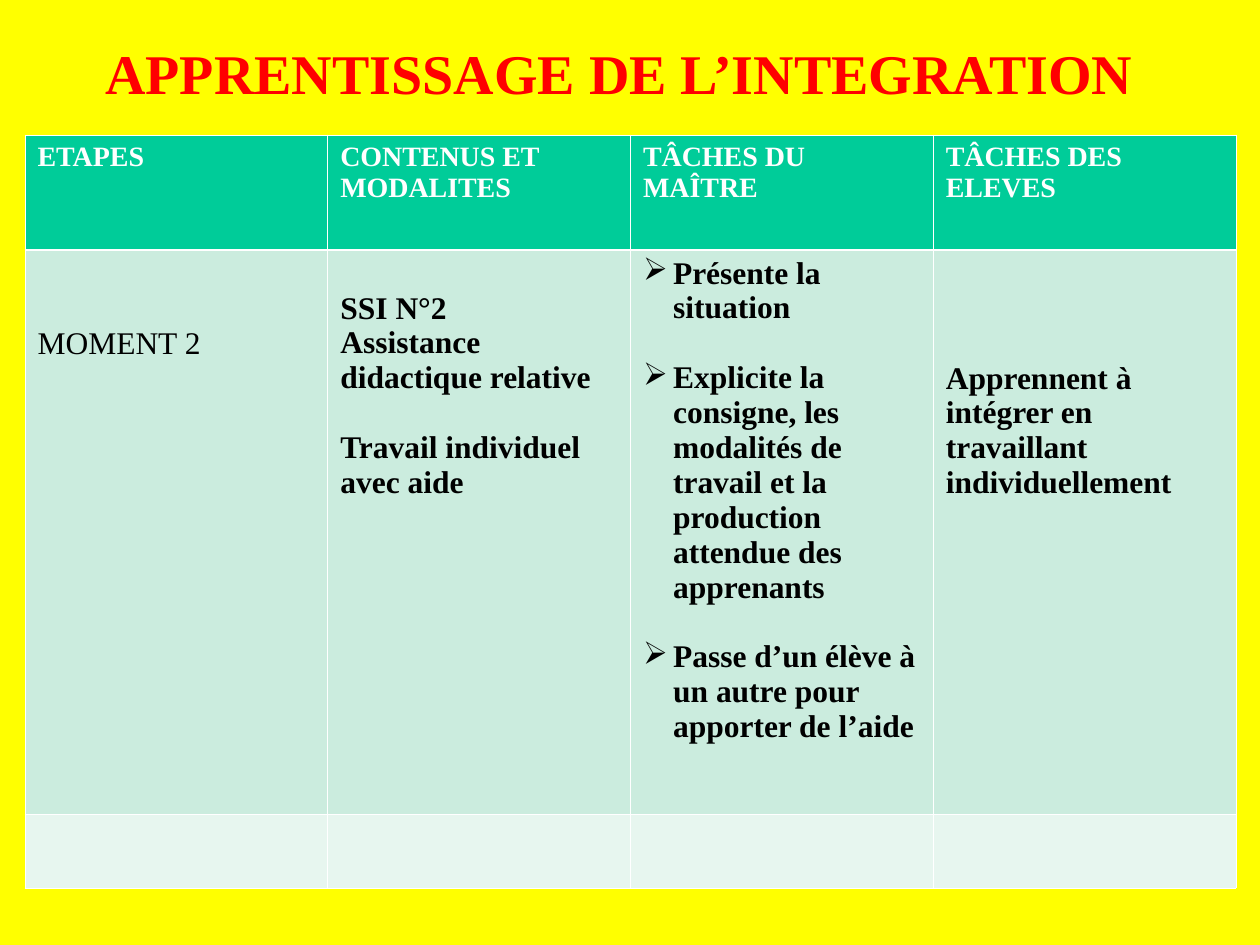
import lxml.etree
import pptx
import pptx.dml.color
import pptx.enum.text
import pptx.oxml.ns
import pptx.util

PX = 914400 / 126
FONT = "Times New Roman"
COLORS = {
    "page": "FFFF00", "title": "FF0000", "header": "00CC99", "body": "CBECDE",
    "footer": "E7F6EF", "line": "FFFFFF", "light": "FFFFFF", "dark": "000000",
}
LINE_PX = 35
BULLET = "➢"
HEADERS = ["ETAPES", "CONTENUS ET MODALITES", "TÂCHES DU MAÎTRE", "TÂCHES DES ELEVES"]
STEPS = [
    {"lines": ["MOMENT 2"], "skip": 2, "bold": False},
    {"lines": ["SSI N°2", "Assistance didactique relative", "Travail individuel avec aide"],
     "skip": 1, "gaps": [2]},
    {"lines": ["Présente la situation",
               "Explicite la consigne, les modalités de travail et la production attendue des apprenants",
               "Passe d’un élève à un autre pour apporter de l’aide"],
     "gaps": [1, 2], "bullets": True},
    {"lines": ["Apprennent à intégrer en travaillant individuellement"], "skip": 3},
]


def px(n):
    """Convert pixels to EMU."""
    return pptx.util.Emu(round(n * PX))


def rgb(name):
    """Look up a named colour."""
    return pptx.dml.color.RGBColor.from_string(COLORS[name])


def add_xml(parent, tag, **attrs):
    """Append a DrawingML element."""
    return lxml.etree.SubElement(parent, pptx.oxml.ns.qn(tag), attrs)


def style(p, size, color, bold=True):
    """Format the runs of a paragraph."""
    for r in p.runs:
        r.font.name = FONT
        r.font.size = pptx.util.Pt(size)
        r.font.bold = bold
        r.font.color.rgb = rgb(color)


def add_bullet(p):
    """Give a paragraph an arrow bullet and a hanging indent."""
    pPr = p._p.get_or_add_pPr()
    pPr.set("marL", str(px(30)))
    pPr.set("indent", str(-px(30)))
    add_xml(add_xml(pPr, "a:buClr"), "a:srgbClr", val=COLORS["dark"])
    add_xml(pPr, "a:buChar", char=BULLET)


def format_cell(cell, fill, top=0.45, bottom=0.45):
    """Set the borders and fill of a cell."""
    tcPr = cell._tc.get_or_add_tcPr()
    for side, width in zip("LRTB", (0.45, 0.45, top, bottom)):
        ln = add_xml(tcPr, f"a:ln{side}", w=str(pptx.util.Pt(width)))
        add_xml(add_xml(ln, "a:solidFill"), "a:srgbClr", val=COLORS["line"])
    cell.fill.solid()
    cell.fill.fore_color.rgb = rgb(fill)


def fill_step(cell, lines, skip=0, gaps=(), bullets=False, bold=True):
    """Write the paragraphs of a step cell, starting some lines down."""
    cell.margin_top = px(6 + skip * LINE_PX)
    tf = cell.text_frame
    tf.text = "\n".join(lines)
    for i, p in enumerate(tf.paragraphs):
        if i in gaps:
            p.space_before = pptx.util.Pt(20)
        if bullets:
            add_bullet(p)
        style(p, 18, "dark", bold)


def add_title(s, x, y, w, h):
    """Place the slide title in its box."""
    tf = s.shapes.add_textbox(px(x), px(y), px(w), px(h)).text_frame
    tf.word_wrap = True
    tf.vertical_anchor = pptx.enum.text.MSO_ANCHOR.MIDDLE
    tf.text = "APPRENTISSAGE DE L’INTEGRATION"
    p = tf.paragraphs[0]
    p.alignment = pptx.enum.text.PP_ALIGN.CENTER
    style(p, 32, "title")


def add_steps_table(s, x, y, w, row_heights):
    """Place the table of steps with equal columns."""
    table = s.shapes.add_table(len(row_heights), len(HEADERS), px(x), px(y),
                               px(w), px(sum(row_heights))).table
    table.horz_banding = False
    for row, height in zip(table.rows, row_heights):
        row.height = px(height)
    for i, (header, step) in enumerate(zip(HEADERS, STEPS)):
        table.columns[i].width = px(w / len(HEADERS))
        head, body, footer = (table.cell(r, i) for r in range(3))
        format_cell(head, "header", bottom=1.47)
        format_cell(body, "body", top=1.47)
        format_cell(footer, "footer")
        head.text_frame.text = header
        style(head.text_frame.paragraphs[0], 16, "light")
        fill_step(body, **step)


def main():
    """Build and save the slide."""
    prs = pptx.Presentation()
    prs.slide_width, prs.slide_height = px(1260), px(945)
    s = prs.slides.add_slide(prs.slide_layouts[6])
    s.background.fill.solid()
    s.background.fill.fore_color.rgb = rgb("page")
    add_title(s, 84, 0, 1071, 145)
    add_steps_table(s, 25, 135, 1211, [115, 564, 74])
    prs.save("out.pptx")


if __name__ == "__main__":
    main()
